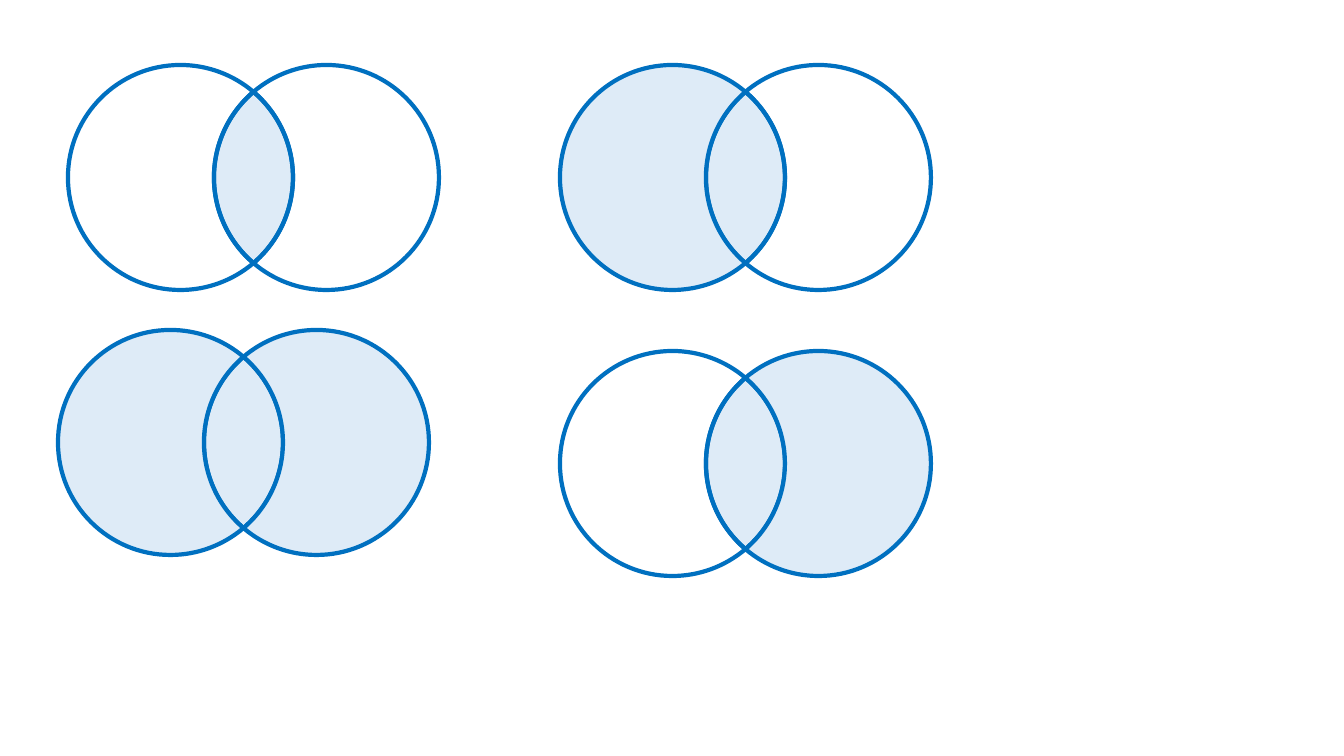
import math
from dataclasses import dataclass

from lxml import etree
from pptx import Presentation
from pptx import util as u
from pptx.dml.color import RGBColor
from pptx.oxml.ns import qn

EMU_PER_PX = 914400 / 100.8


@dataclass(frozen=True)
class Theme:
    outline: RGBColor = RGBColor(0x00, 0x70, 0xC0)
    shade: RGBColor = RGBColor(0xDE, 0xEB, 0xF7)
    line_width: int = u.Pt(3)


THEME = Theme()

# Each diagram: box (left, top, width, height) and its shaded regions
DIAGRAMS = [
    ((68, 65, 371, 225), {"both"}),
    ((58, 330, 371, 225), {"both", "left", "right"}),
    ((560, 65, 371, 225), {"both", "left"}),
    ((560, 351, 371, 225), {"both", "right"}),
]


def px(length):
    return u.Emu(round(length * EMU_PER_PX))


def arc(centre, radius, start, end):
    """Bezier points of a clockwise arc, split at each quarter turn."""
    def point(angle, tangent=0):
        return (px(centre[0] + radius * (math.cos(angle) - tangent * math.sin(angle))),
                px(centre[1] + radius * (math.sin(angle) + tangent * math.cos(angle))))

    quarter = math.pi / 2
    turns = range(math.ceil(start / quarter), math.floor(end / quarter) + 1)
    stops = [start] + [turn * quarter for turn in turns] + [end]
    points = [point(start)]
    for first, last in zip(stops, stops[1:]):
        handle = 4 / 3 * math.tan((last - first) / 4)
        points += [point(first, handle), point(last, -handle), point(last)]
    return points


def curve_outline(shape):
    """Turn every three line segments into one cubic curve."""
    outline = shape.element.find(".//" + qn("a:path"))
    lines = outline.findall(qn("a:lnTo"))
    for index in range(0, len(lines), 3):
        curve = etree.Element(qn("a:cubicBezTo"))
        lines[index].addprevious(curve)
        for line in lines[index:index + 3]:
            curve.append(line[0])
            outline.remove(line)


def add_region(slide, points, shaded):
    builder = slide.shapes.build_freeform(*points[0])
    builder.add_line_segments(points[1:], close=True)
    shape = builder.convert_to_shape()
    curve_outline(shape)
    shape.shadow.inherit = False
    shape.line.color.rgb = THEME.outline
    shape.line.width = THEME.line_width
    if shaded:
        shape.fill.solid()
        shape.fill.fore_color.rgb = THEME.shade
    else:
        shape.fill.background()


def add_venn(slide, box, shaded_regions):
    left, top, width, height = box
    radius = height / 2
    left_centre = (left + radius, top + radius)
    right_centre = (left + width - radius, top + radius)
    # Angle from the centre line to the point where the circles cross
    cross = math.acos((width - height) / 2 / radius)
    half, full = math.pi, 2 * math.pi

    # Inner arcs bound the overlap, outer arcs the rest of each circle
    left_inner = arc(left_centre, radius, -cross, cross)
    right_inner = arc(right_centre, radius, half - cross, half + cross)
    left_outer = arc(left_centre, radius, cross, full - cross)
    right_outer = arc(right_centre, radius, half + cross, half + full - cross)

    regions = {
        "both": left_inner + right_inner[1:],
        "left": left_outer + right_inner[-2::-1],
        "right": right_outer + left_inner[-2::-1],
    }
    for name, points in regions.items():
        add_region(slide, points, name in shaded_regions)


def main():
    presentation = Presentation()
    presentation.slide_width = px(1344)
    presentation.slide_height = px(756)
    slide = presentation.slides.add_slide(presentation.slide_layouts[6])
    for box, shaded_regions in DIAGRAMS:
        add_venn(slide, box, shaded_regions)
    presentation.save("out.pptx")


if __name__ == "__main__":
    main()
